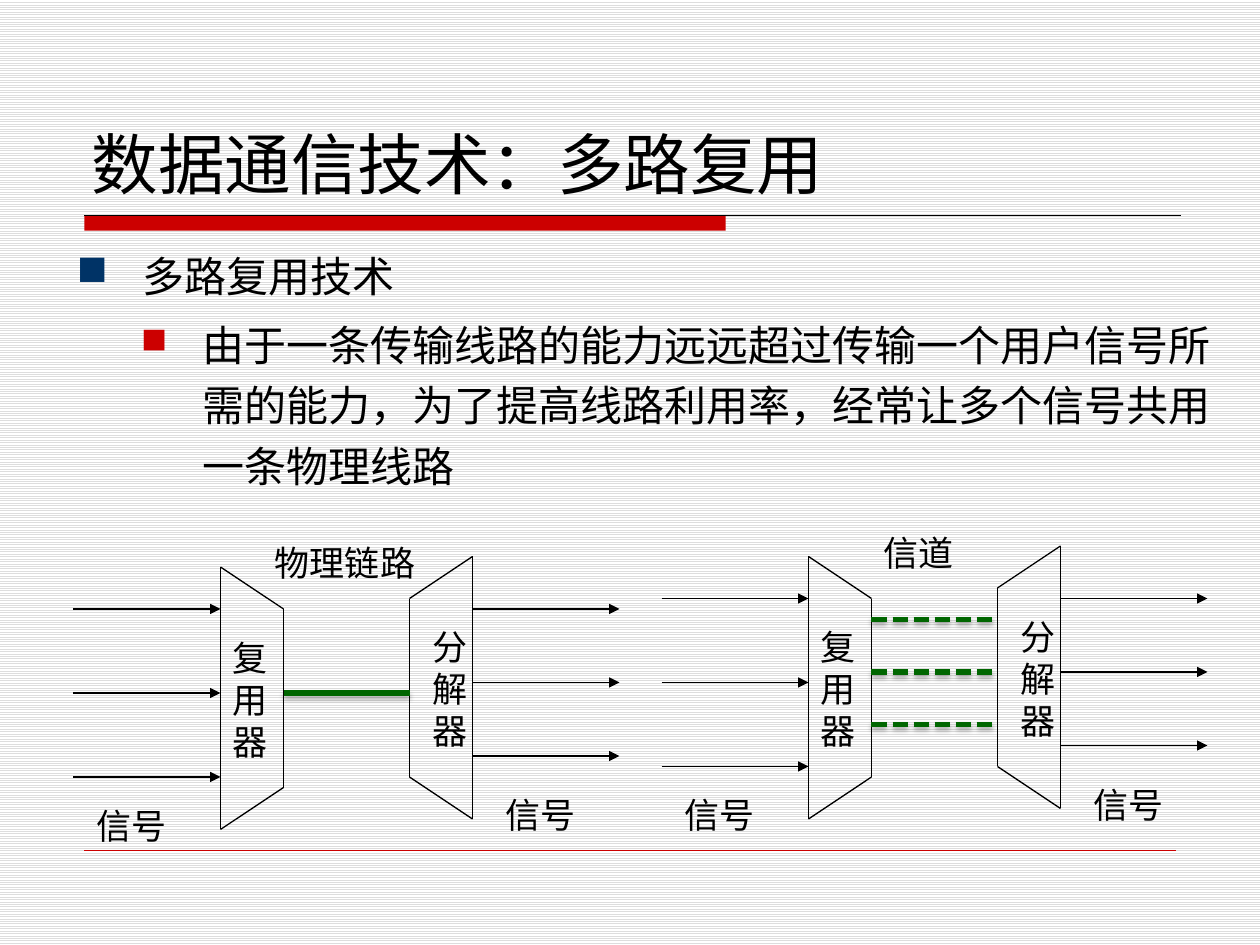
from lxml.etree import SubElement
from pptx import Presentation
from pptx.dml.color import RGBColor
from pptx.enum.dml import MSO_LINE, MSO_PATTERN
from pptx.enum.shapes import MSO_CONNECTOR, MSO_SHAPE
from pptx.enum.text import MSO_ANCHOR
from pptx.oxml.ns import qn
from pptx.util import Inches, Pt

TITLE = "数据通信技术：多路复用"
# text, left margin, hanging indent (inches), bullet colour, bullet %, line spacing, space before (pt)
POINTS = [
    ("多路复用技术", 0.52, 0.52, "navy", 100, 1.0, 0),
    ("由于一条传输线路的能力远远超过传输一个用户信号所需的能力，"
     "为了提高线路利用率，经常让多个信号共用一条物理线路",
     1.0, 0.49, "red", 85, 1.2, 4.8),
]
# Positions are columns and rows of a grid with twelve cells to the inch.
DIAGRAMS = [
    {"mux": (21, 54), "demux": (39, 53), "links": [66], "dash": None,
     "caption": ("物理链路", 25, 51, 18)},
    {"mux": (77, 53), "demux": (95, 52), "links": [59, 64, 69],
     "dash": MSO_LINE.SQUARE_DOT, "caption": ("信道", 83, 50, 11)},
]
MUX_NAME, DEMUX_NAME, SIGNAL = "复用器", "分解器", "信号"
THEME = {
    "black": "000000", "red": "CC0000", "navy": "003366", "green": "006600",
    "stripe": "DDDDDD", "white": "FFFFFF", "bullet": "Wingdings",
    "title": ("DejaVu Sans", 38), "body": ("Times New Roman", 24), "label": ("Lato", 20),
}
UNIT_WIDTH, UNIT_HEIGHT, SLANT, ARROW_LENGTH = 6, 25, 4, 14
INPUT_ROWS, OUTPUT_ROWS = (4, 12, 20), (5, 12, 19)
NAME_ROW, SIGNAL_ROW = 6, 22


def colour(key):
    return RGBColor.from_string(THEME[key])


def cell(count):
    return Inches(count / 12)


def add_text(slide, text, box, style):
    frame = slide.shapes.add_textbox(*box).text_frame
    frame.word_wrap = True
    frame.text = text
    style_paragraph(frame.paragraphs[0], style)
    return frame


def style_paragraph(paragraph, style):
    font = paragraph.font
    font.name, size = THEME[style]
    font.size = Pt(size)
    font.color.rgb = colour("black")


def add_label(slide, text, column, row, width, height=5.16):
    add_text(slide, text, [cell(n) for n in (column, row, width, height)], "label")


def add_line(slide, start, end, key="black", width=0.75, arrow=False, shadow=False):
    line = slide.shapes.add_connector(MSO_CONNECTOR.STRAIGHT, *start, *end)
    line.line.color.rgb = colour(key)
    line.line.width = Pt(width)
    if arrow:
        SubElement(line.line._get_or_add_ln(), qn("a:tailEnd"), type="triangle")
    effects = SubElement(line._element.spPr, qn("a:effectLst"))
    if shadow:
        outer = SubElement(effects, qn("a:outerShdw"), blurRad=str(Pt(3.1)),
                           dist=str(Pt(1.8)), dir="5400000", rotWithShape="0")
        black = SubElement(outer, qn("a:srgbClr"), val=THEME["black"])
        SubElement(black, qn("a:alpha"), val="35000")
    return line


def add_row_line(slide, first, last, row, **look):
    return add_line(slide, (cell(first), cell(row)), (cell(last), cell(row)), **look)


def add_trapezoid(slide, tall_column, short_column, top):
    bottom = top + UNIT_HEIGHT
    corners = [(cell(column), cell(row)) for column, row in (
        (tall_column, top), (short_column, top + SLANT),
        (short_column, bottom - SLANT), (tall_column, bottom))]
    for start, end in ((0, 1), (0, 3), (1, 2), (3, 2)):
        add_line(slide, corners[start], corners[end])


def add_diagram(slide, diagram):
    left, top = diagram["mux"]
    mux_right = left + UNIT_WIDTH
    add_trapezoid(slide, left, mux_right, top)
    for row in INPUT_ROWS:
        add_row_line(slide, left - ARROW_LENGTH, left, top + row, arrow=True)
    add_label(slide, MUX_NAME, left, top + NAME_ROW, 3.25, 13.2)
    add_label(slide, SIGNAL, left - 13, top + SIGNAL_ROW, 10)

    left, top = diagram["demux"]
    right = left + UNIT_WIDTH
    add_trapezoid(slide, right, left, top)
    for row in OUTPUT_ROWS:
        add_row_line(slide, right, right + ARROW_LENGTH, top + row, arrow=True)
    add_label(slide, DEMUX_NAME, left + 1, top + NAME_ROW, 3.25, 13.2)
    add_label(slide, SIGNAL, right + 2, top + SIGNAL_ROW, 10)

    for row in diagram["links"]:
        link = add_row_line(slide, mux_right, left, row, key="green", width=3, shadow=True)
        if diagram["dash"]:
            link.line.dash_style = diagram["dash"]
    add_label(slide, *diagram["caption"])


def add_frame(slide):
    """Striped background, title rule and footer rule."""
    fill = slide.background.fill
    fill.patterned()
    fill.pattern = MSO_PATTERN.LIGHT_HORIZONTAL
    fill.fore_color.rgb = colour("stripe")
    fill.back_color.rgb = colour("white")
    bar = slide.shapes.add_shape(MSO_SHAPE.RECTANGLE, Inches(0.67), Inches(1.71),
                                 Inches(5.09), Inches(0.12))
    bar.shadow.inherit = False
    bar.fill.solid()
    bar.fill.fore_color.rgb = colour("red")
    bar.line.fill.background()
    for right, y, key, width in ((9.37, 1.71, "black", 0.75), (9.33, 6.75, "red", 0.25)):
        add_line(slide, (Inches(0.67), Inches(y)), (Inches(right), Inches(y)), key, width)


def add_points(slide):
    box = [Inches(n) for n in (0.51, 1.94, 9.25, 2.2)]
    frame = add_text(slide, POINTS[0][0], box, "body")
    for index, (text, margin, hang, key, percent, spacing, before) in enumerate(POINTS):
        paragraph = frame.paragraphs[0] if index == 0 else frame.add_paragraph()
        paragraph.text = text
        paragraph.level = index
        paragraph.line_spacing = spacing
        paragraph.space_before = Pt(before)
        properties = paragraph._p.get_or_add_pPr()
        properties.set("marL", str(Inches(margin)))
        properties.set("indent", str(-Inches(hang)))
        bullet_colour = SubElement(properties, qn("a:buClr"))
        SubElement(bullet_colour, qn("a:srgbClr"), val=THEME[key])
        SubElement(properties, qn("a:buSzPct"), val=str(percent * 1000))
        SubElement(properties, qn("a:buFont"), typeface=THEME["bullet"],
                   pitchFamily="2", charset="2")
        SubElement(properties, qn("a:buChar"), char="n")
        style_paragraph(paragraph, "body")


def main():
    deck = Presentation()
    deck.slide_width, deck.slide_height = Inches(10), Inches(7.5)
    slide = deck.slides.add_slide(deck.slide_layouts[6])
    add_frame(slide)
    title = add_text(slide, TITLE, [Inches(n) for n in (0.63, 0.94, 8.75, 0.72)], "title")
    title.vertical_anchor = MSO_ANCHOR.BOTTOM
    add_points(slide)
    for diagram in DIAGRAMS:
        add_diagram(slide, diagram)
    deck.save("out.pptx")


if __name__ == "__main__":
    main()
